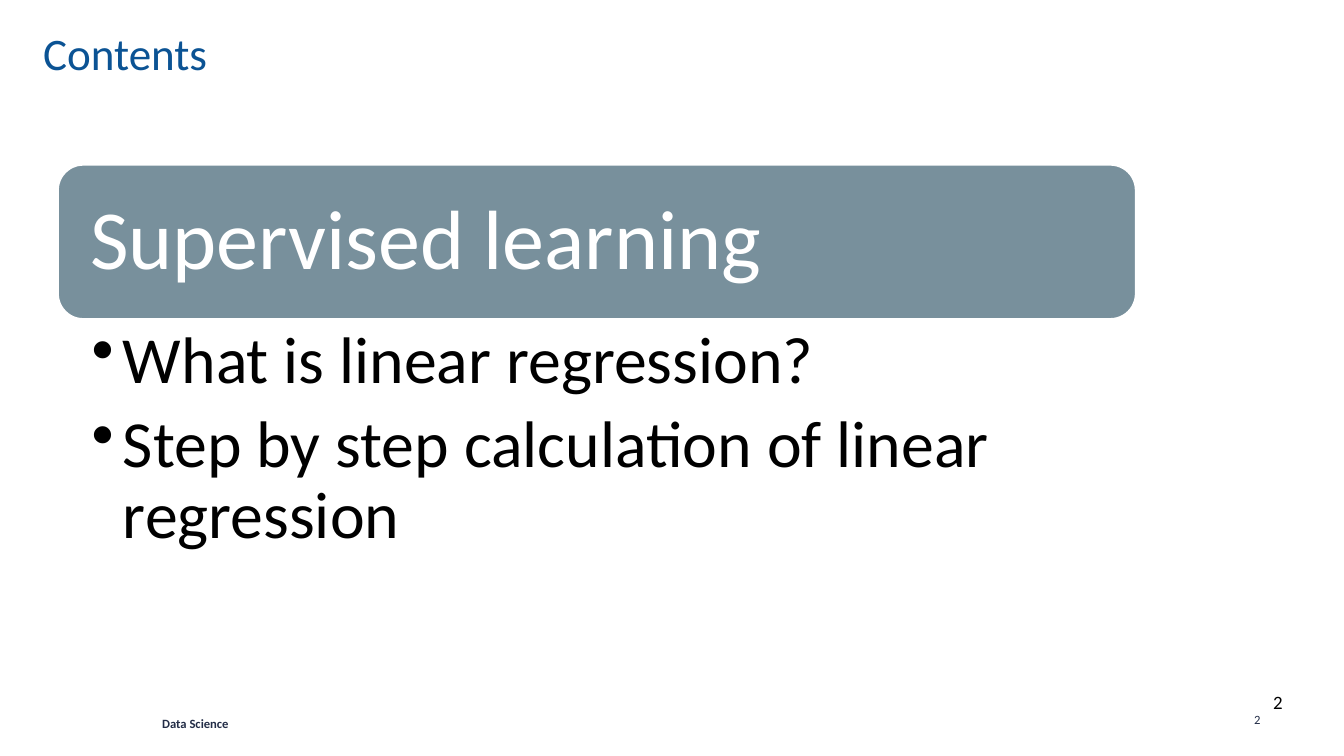
from dataclasses import dataclass

from lxml import etree
from pptx import Presentation
from pptx.dml.color import RGBColor
from pptx.enum.shapes import MSO_SHAPE
from pptx.enum.text import MSO_ANCHOR, PP_ALIGN
from pptx.oxml.ns import qn
from pptx.util import Inches, Pt

ROUND_RECT = MSO_SHAPE.ROUNDED_RECTANGLE
MIDDLE, TOP = MSO_ANCHOR.MIDDLE, MSO_ANCHOR.TOP
LEFT = PP_ALIGN.LEFT


@dataclass(frozen=True)
class Theme:
    font: str = "Calibri"
    title: str = "0B5394"
    footer: str = "232D47"
    banner: str = "78909C"
    white: str = "FFFFFF"
    black: str = "000000"
    title_size: float = 32.2
    banner_size: float = 60
    bullet_size: float = 47
    number_size: float = 13.5
    footer_size: float = 9


theme = Theme()


def add_run(p, text, size, color, bold=False):
    r = p.add_run()
    r.text = text
    r.font.name = theme.font
    r.font.size = Pt(size)
    r.font.bold = bold
    r.font.color.rgb = RGBColor.from_string(color)


def set_frame(tf, left, top, right, bottom, anchor=TOP):
    """Set wrapping, anchor and the insets in inches."""
    tf.word_wrap = True
    tf.vertical_anchor = anchor
    tf.margin_left, tf.margin_top = Inches(left), Inches(top)
    tf.margin_right, tf.margin_bottom = Inches(right), Inches(bottom)


prs = Presentation()
prs.slide_width, prs.slide_height = Inches(13.33), Inches(7.5)
s = prs.slides.add_slide(prs.slide_layouts[6])

# Footer, title and page number
labels = [
    ("Data Science", (1.51, 7.05, 2.19, 0.25), 0.05, theme.footer_size, theme.footer, True),
    ("2", (12.34, 7.01, 0.67, 0.25), 0.05, theme.footer_size, theme.footer, False),
    ("Contents", (0.33, 0.15, 12.42, 0.84), 0.1, theme.title_size, theme.title, False),
    ("2", (12.53, 6.8, 0.8, 0.57), 0.05, theme.number_size, theme.black, False),
]
for text, box, inset, size, color, bold in labels:
    tf = s.shapes.add_textbox(*map(Inches, box)).text_frame
    set_frame(tf, 0.1, inset, 0.1, inset)
    add_run(tf.paragraphs[0], text, size, color, bold)

# Banner
banner = s.shapes.add_shape(ROUND_RECT, Inches(0.57), Inches(1.63), Inches(10.7), Inches(1.54))
banner.shadow.inherit = False
banner.fill.solid()
banner.fill.fore_color.rgb = RGBColor.from_string(theme.banner)
banner.line.color.rgb = RGBColor.from_string(theme.white)
banner.line.width = Pt(2)
tf = banner.text_frame
set_frame(tf, 0.25, 0.25, 0.25, 0.25, MIDDLE)
p = tf.paragraphs[0]
p.alignment = LEFT
p.line_spacing = 0.9
add_run(p, "Supervised learning", theme.banner_size, theme.white)

# Bullet list
topics = ["What is linear regression?", "Step by step calculation of linear regression"]
tf = s.shapes.add_textbox(Inches(0.57), Inches(3.16), Inches(10.7), Inches(2.38)).text_frame
set_frame(tf, 0.34, 0.08, 0.47, 0.08)
for i, topic in enumerate(topics):
    p = tf.add_paragraph() if i else tf.paragraphs[0]
    p.line_spacing = 0.9
    p.space_after = Pt(theme.bullet_size * 0.2)
    pPr = p._p.get_or_add_pPr()
    pPr.set("marL", str(Inches(0.31)))
    pPr.set("indent", str(-Inches(0.31)))
    etree.SubElement(pPr, qn("a:buChar")).set("char", "•")
    add_run(p, topic, theme.bullet_size, theme.black)

prs.save("out.pptx")
